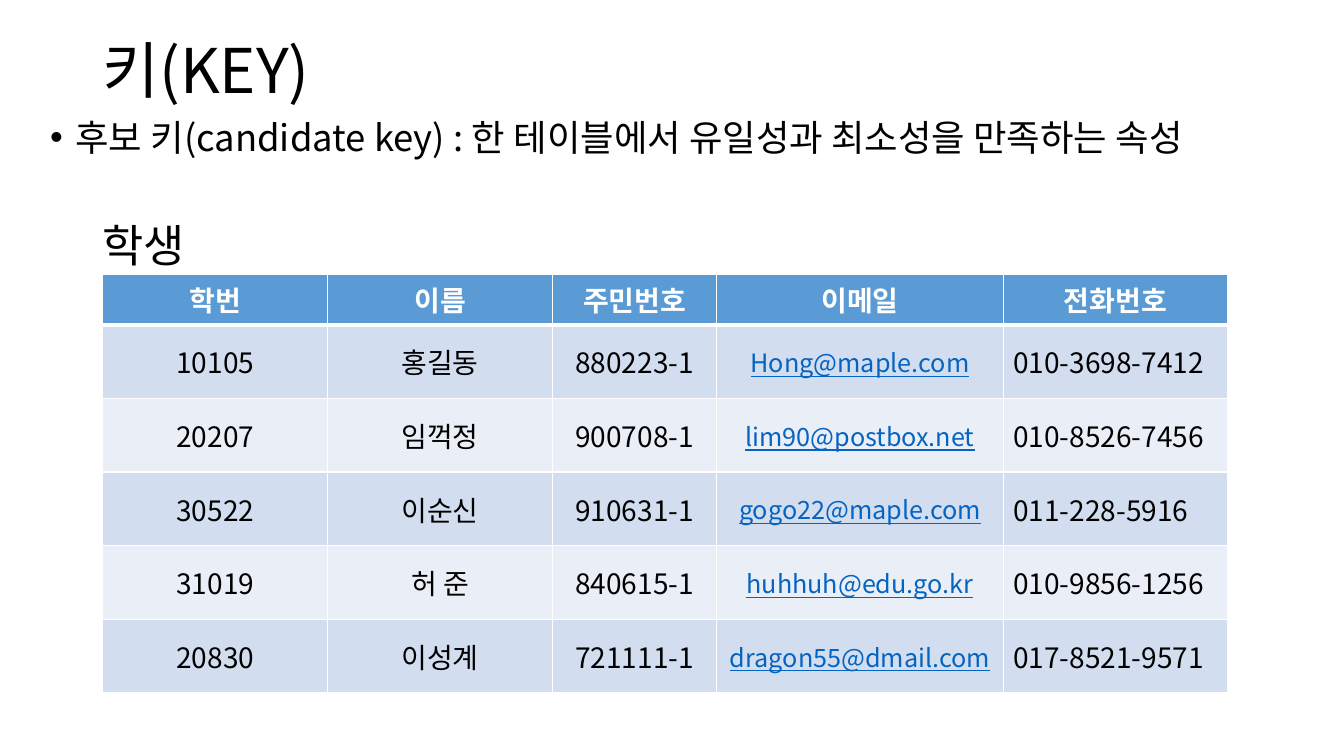
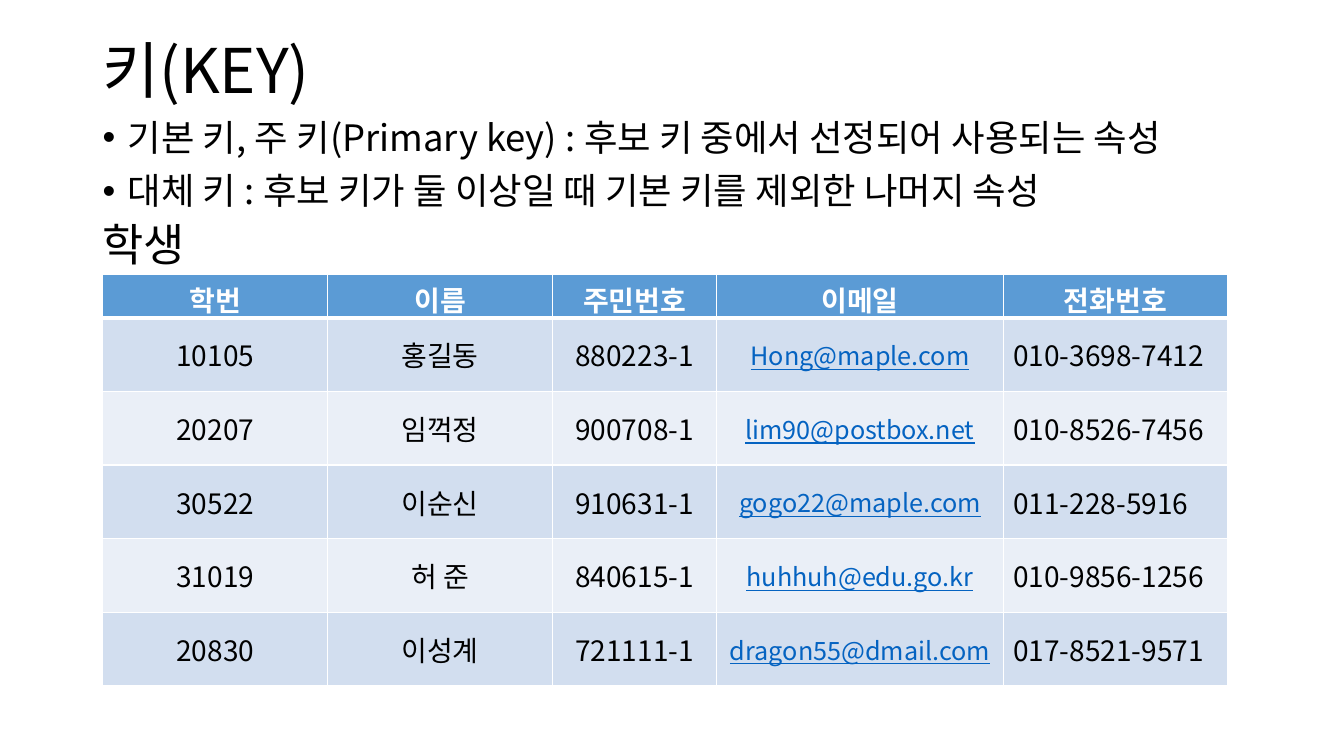
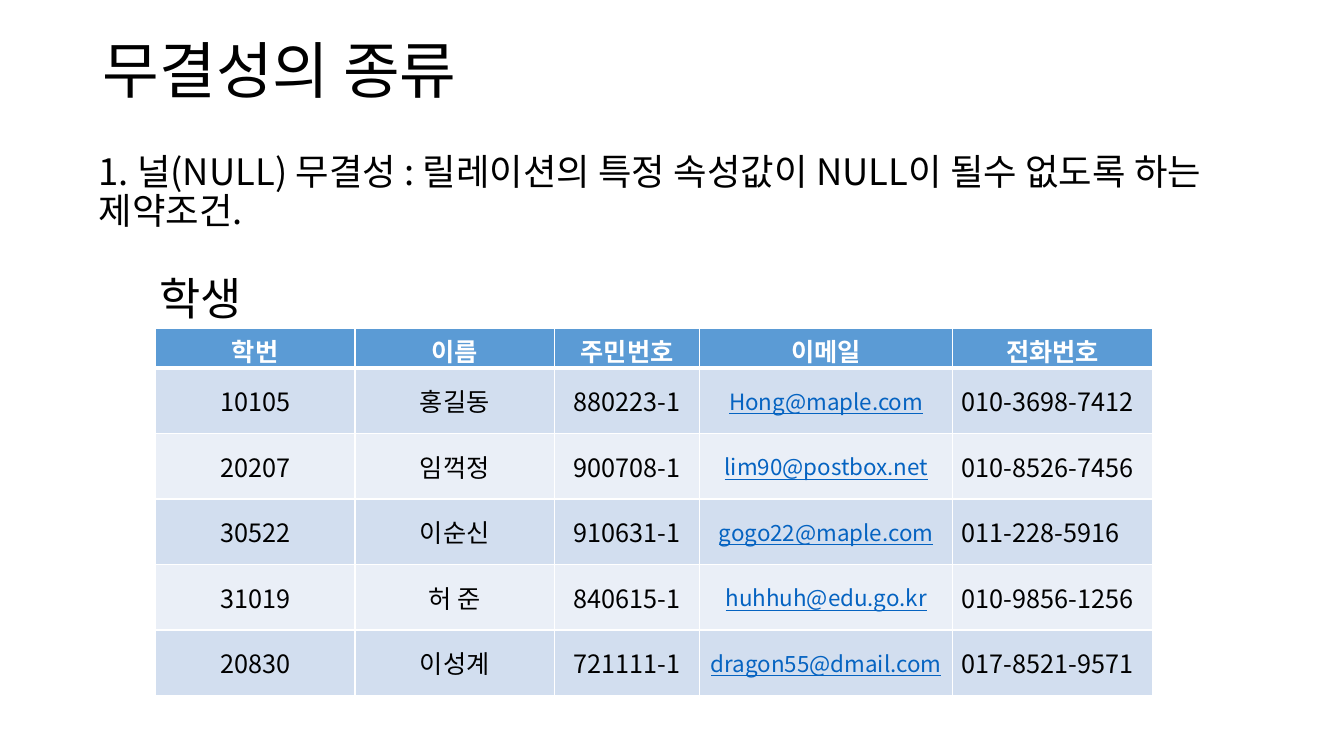
from lxml.etree import SubElement
from pptx import Presentation
from pptx.dml.color import RGBColor
from pptx.enum.text import MSO_ANCHOR, MSO_AUTO_SIZE, PP_ALIGN
from pptx.oxml.ns import qn
from pptx.util import Inches, Pt

FONT = "Noto Sans CJK KR"
BLACK = RGBColor(0x00, 0x00, 0x00)
WHITE = RGBColor(0xFF, 0xFF, 0xFF)
HEADER_BLUE = RGBColor(0x5B, 0x9B, 0xD5)
BAND_DARK = RGBColor(0xD2, 0xDE, 0xEF)
BAND_LIGHT = RGBColor(0xEA, 0xEF, 0xF7)
LINK_BLUE = RGBColor(0x05, 0x63, 0xC1)

TITLE_BOX = (0.92, 0, 11.5, 1.45)
EMAIL_COLUMN, PHONE_COLUMN = 3, 4

STUDENTS = [
    ("학번", "이름", "주민번호", "이메일", "전화번호"),
    ("10105", "홍길동", "880223-1", "Hong@maple.com", "010-3698-7412"),
    ("20207", "임꺽정", "900708-1", "lim90@postbox.net", "010-8526-7456"),
    ("30522", "이순신", "910631-1", "gogo22@maple.com", "011-228-5916"),
    ("31019", "허 준", "840615-1", "huhhuh@edu.go.kr", "010-9856-1256"),
    ("20830", "이성계", "721111-1", "dragon55@dmail.com", "017-8521-9571"),
]

LARGE_TABLE = {
    "box": (1.02, 2.72, 11.17, 4.09),
    "columns": (2.23, 2.23, 1.63, 2.84, 2.23),
    "header_height": 0.34,
    "row_height": 0.73,
    "size": 20,
    "margins": (0.1, 0.05),
}
SMALL_TABLE = {
    "box": (1.54, 3.26, 9.88, 3.63),
    "columns": (1.98, 1.98, 1.44, 2.51, 1.98),
    "header_height": 0.39,
    "row_height": 0.65,
    "size": 18,
    "margins": (0.09, 0.04),
}

SLIDES = [
    {
        "title": "키(KEY)",
        "body": ["후보 키(candidate key) : 한 테이블에서 유일성과 최소성을 만족하는 속성"],
        "body_box": (0.4, 1.14, 12.94, 4.76),
        "bullet": True,
        "caption_box": (0.92, 2.11, 1.09, 0.64),
        "table": LARGE_TABLE,
    },
    {
        "title": "키(KEY)",
        "body": [
            "기본 키, 주 키(Primary key) : 후보 키 중에서 선정되어 사용되는 속성",
            "대체 키 : 후보 키가 둘 이상일 때 기본 키를 제외한 나머지 속성",
        ],
        "body_box": (0.92, 1.14, 11.97, 4.76),
        "bullet": True,
        "caption_box": (0.92, 2.1, 1.43, 0.64),
        "table": LARGE_TABLE,
    },
    {
        "title": "무결성의 종류",
        "body": ["1. 널(NULL) 무결성 : 릴레이션의 특정 속성값이 NULL이 될수 없도록 하는 제약조건."],
        "body_box": (0.88, 1.48, 11.5, 4.76),
        "bullet": False,
        "caption_box": (1.48, 2.64, 1.11, 0.64),
        "table": SMALL_TABLE,
    },
]


def write_text(frame, lines, size, color=BLACK, bold=False, underline=False,
               align=PP_ALIGN.LEFT, line_spacing=1.0, space_before=0, bullet=False):
    for index, line in enumerate(lines):
        paragraph = frame.add_paragraph() if index else frame.paragraphs[0]
        paragraph.alignment = align
        paragraph.line_spacing = line_spacing
        paragraph.space_before = Pt(space_before)
        if bullet:
            properties = paragraph._p.get_or_add_pPr()
            properties.set("marL", str(Inches(0.25)))
            properties.set("indent", str(Inches(-0.25)))
            SubElement(properties, qn("a:buFont")).set("typeface", "Arial")
            SubElement(properties, qn("a:buChar")).set("char", "•")
        run = paragraph.add_run()
        run.text = line
        font = run.font
        font.name = FONT
        font.size = Pt(size)
        font.color.rgb = color
        font.bold = bold
        font.underline = underline
        SubElement(run._r.get_or_add_rPr(), qn("a:ea")).set("typeface", FONT)


def add_text(slide, box, lines, anchor=MSO_ANCHOR.TOP, auto_size=MSO_AUTO_SIZE.NONE, **text_format):
    frame = slide.shapes.add_textbox(*map(Inches, box)).text_frame
    frame.word_wrap = True
    frame.auto_size = auto_size
    frame.vertical_anchor = anchor
    write_text(frame, lines, **text_format)


def set_borders(cell, top, bottom):
    properties = cell._tc.get_or_add_tcPr()
    for side, width in (("lnL", 1), ("lnR", 1), ("lnT", top), ("lnB", bottom)):
        line = SubElement(properties, qn(f"a:{side}"), w=str(Pt(width)))
        fill = SubElement(line, qn("a:solidFill"))
        SubElement(fill, qn("a:srgbClr")).set("val", str(WHITE))


def add_student_table(slide, layout):
    graphic = slide.shapes.add_table(
        len(STUDENTS), len(layout["columns"]), *map(Inches, layout["box"]))
    table = graphic.table
    for column, width in zip(table.columns, layout["columns"]):
        column.width = Inches(width)
    side_margin, end_margin = map(Inches, layout["margins"])
    for row_index, values in enumerate(STUDENTS):
        header = row_index == 0
        height = layout["header_height"] if header else layout["row_height"]
        table.rows[row_index].height = Inches(height)
        band = HEADER_BLUE if header else BAND_DARK if row_index % 2 else BAND_LIGHT
        for column_index, value in enumerate(values):
            cell = table.cell(row_index, column_index)
            email = not header and column_index == EMAIL_COLUMN
            phone = not header and column_index == PHONE_COLUMN
            cell.margin_left = cell.margin_right = side_margin
            cell.margin_top = cell.margin_bottom = end_margin
            cell.vertical_anchor = MSO_ANCHOR.TOP if header else MSO_ANCHOR.MIDDLE
            set_borders(cell, top=3 if row_index == 1 else 1, bottom=3 if header else 1)
            cell.fill.solid()
            cell.fill.fore_color.rgb = band
            write_text(
                cell.text_frame, [value],
                size=layout["size"] - 2 if email else layout["size"],
                color=WHITE if header else LINK_BLUE if email else BLACK,
                bold=header, underline=email,
                align=PP_ALIGN.LEFT if phone else PP_ALIGN.CENTER)


presentation = Presentation()
presentation.slide_width = Inches(13.33)
presentation.slide_height = Inches(7.5)

for content in SLIDES:
    slide = presentation.slides.add_slide(presentation.slide_layouts[6])
    add_text(slide, TITLE_BOX, [content["title"]], anchor=MSO_ANCHOR.MIDDLE,
             size=44, line_spacing=0.9)
    add_text(slide, content["body_box"], content["body"], size=26,
             line_spacing=0.9, space_before=10, bullet=content["bullet"])
    add_student_table(slide, content["table"])
    add_text(slide, content["caption_box"], ["학생"], size=32,
             auto_size=MSO_AUTO_SIZE.SHAPE_TO_FIT_TEXT)

presentation.save("out.pptx")
